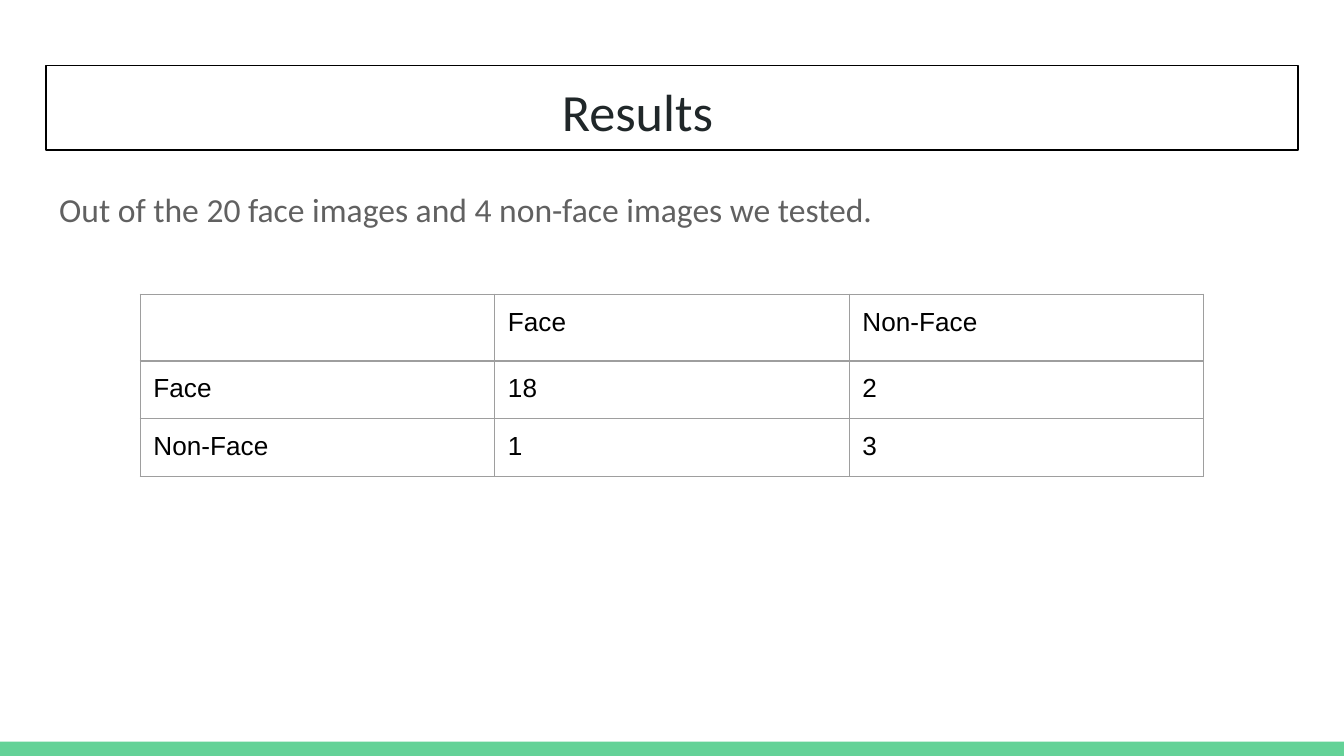
"""Build the results slide with its face detection confusion table."""
from lxml import etree
from pptx import Presentation
from pptx.dml.color import RGBColor
from pptx.enum.shapes import MSO_SHAPE
from pptx.enum.text import MSO_ANCHOR, PP_ALIGN
from pptx.oxml.ns import qn
from pptx.util import Cm, Pt

RECTANGLE = MSO_SHAPE.RECTANGLE
TOP, LEFT = MSO_ANCHOR.TOP, PP_ALIGN.LEFT

COLORS = {"bar": "63D297", "title": "202729", "body": "616161",
          "black": "000000", "grid": "9E9E9E"}
TITLE = "Results"
SUMMARY = "Out of the 20 face images and 4 non-face images we tested."
CONFUSION = [("", "Face", "Non-Face"),
             ("Face", "18", "2"),
             ("Non-Face", "1", "3")]
ROW_HEIGHTS = [Cm(1.21), Cm(1.06), Cm(1.06)]
COLUMN_WIDTH = Cm(6.7)
WIDTH, HEIGHT = Cm(25.4), Cm(14.29)
MARGIN, INSET, BAR_HEIGHT = Cm(0.87), Cm(0.25), Cm(0.27)
CONTENT_WIDTH = WIDTH - 2 * MARGIN


def color(name):
    return RGBColor.from_string(COLORS[name])


def set_insets(holder, left=INSET):
    holder.margin_left = left
    holder.margin_top = holder.margin_right = holder.margin_bottom = INSET


def write(frame, text, font_name, size, ink):
    paragraph = frame.paragraphs[0]
    paragraph.alignment = LEFT
    run = paragraph.add_run()
    run.text = text
    run.font.name, run.font.size = font_name, Pt(size)
    run.font.color.rgb = color(ink)
    return paragraph


def add_borders(cell):
    properties = cell._tc.get_or_add_tcPr()
    for position, side in enumerate(("a:lnL", "a:lnR", "a:lnT", "a:lnB")):
        line = etree.Element(qn(side), w=str(Pt(0.75)))
        fill = etree.SubElement(line, qn("a:solidFill"))
        etree.SubElement(fill, qn("a:srgbClr"), val=COLORS["grid"])
        properties.insert(position, line)


deck = Presentation()
deck.slide_width, deck.slide_height = WIDTH, HEIGHT
slide = deck.slides.add_slide(deck.slide_layouts[6])
shapes = slide.shapes

bar = shapes.add_shape(RECTANGLE, 0, HEIGHT - BAR_HEIGHT, WIDTH, BAR_HEIGHT)
bar.shadow.inherit = False
bar.fill.solid()
bar.fill.fore_color.rgb = color("bar")
bar.line.fill.background()

title = shapes.add_shape(RECTANGLE, MARGIN, Cm(1.24), CONTENT_WIDTH, Cm(1.6))
title.shadow.inherit = False
title.fill.background()
title.line.color.rgb = color("black")
title.line.width = Pt(0.75)
title.text_frame.vertical_anchor = TOP
set_insets(title.text_frame, Cm(9.75))
write(title.text_frame, TITLE, "Calibri", 28, "title")

summary = shapes.add_textbox(MARGIN, Cm(3.2), CONTENT_WIDTH, Cm(9.5))
summary.text_frame.word_wrap = True
set_insets(summary.text_frame)
paragraph = write(summary.text_frame, SUMMARY, "Calibri", 18, "body")
paragraph.line_spacing = 1.15
paragraph.space_after = Pt(16)

columns = len(CONFUSION[0])
confusion = shapes.add_table(len(CONFUSION), columns, Cm(2.65), Cm(5.56),
                             COLUMN_WIDTH * columns, sum(ROW_HEIGHTS)).table
confusion.first_row = confusion.horz_banding = False
for column in confusion.columns:
    column.width = COLUMN_WIDTH
for r, (height, values) in enumerate(zip(ROW_HEIGHTS, CONFUSION)):
    confusion.rows[r].height = height
    for c, value in enumerate(values):
        cell = confusion.cell(r, c)
        cell.fill.background()
        cell.vertical_anchor = TOP
        set_insets(cell)
        write(cell.text_frame, value, "Arial", 14, "black")
        add_borders(cell)

deck.save("out.pptx")
